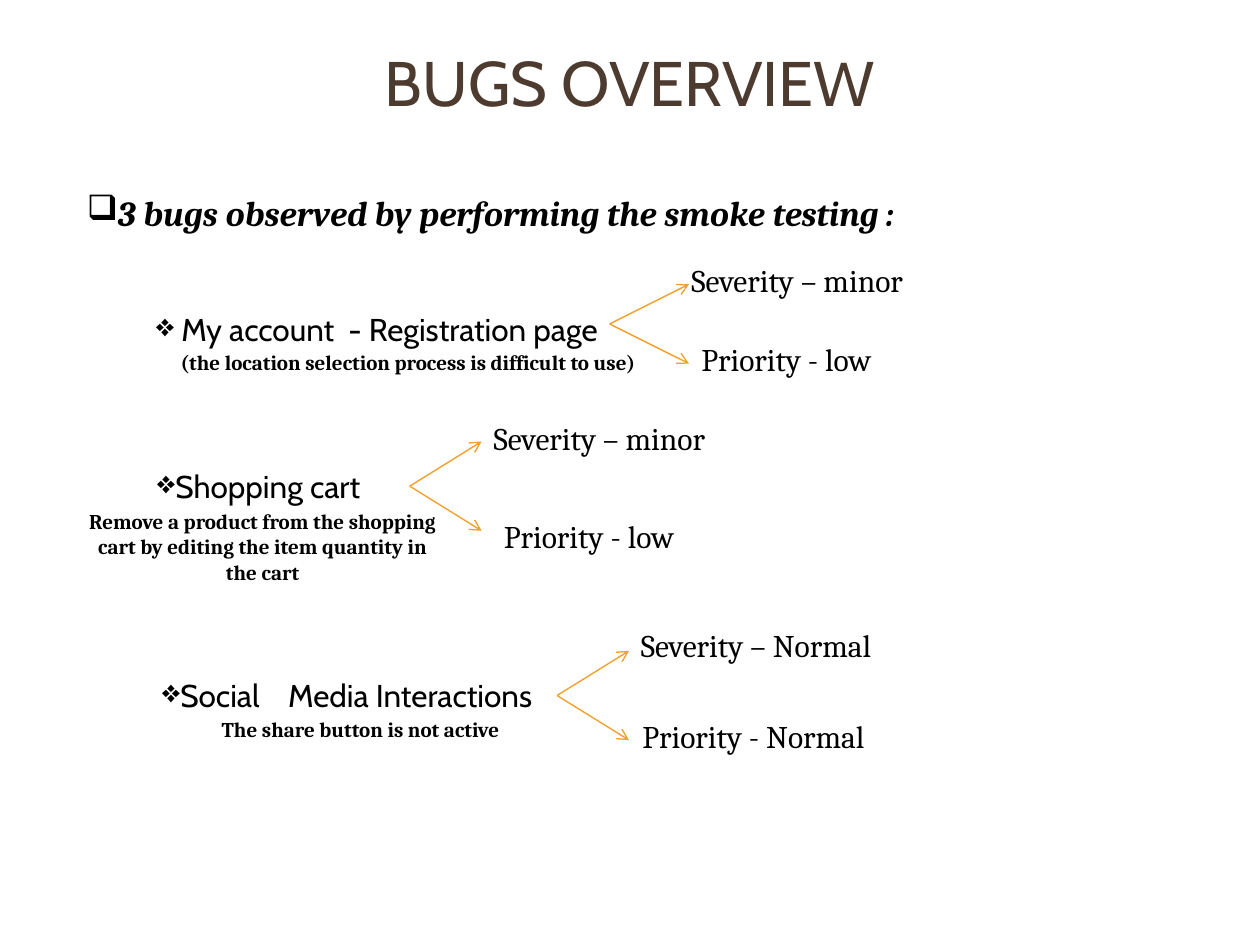
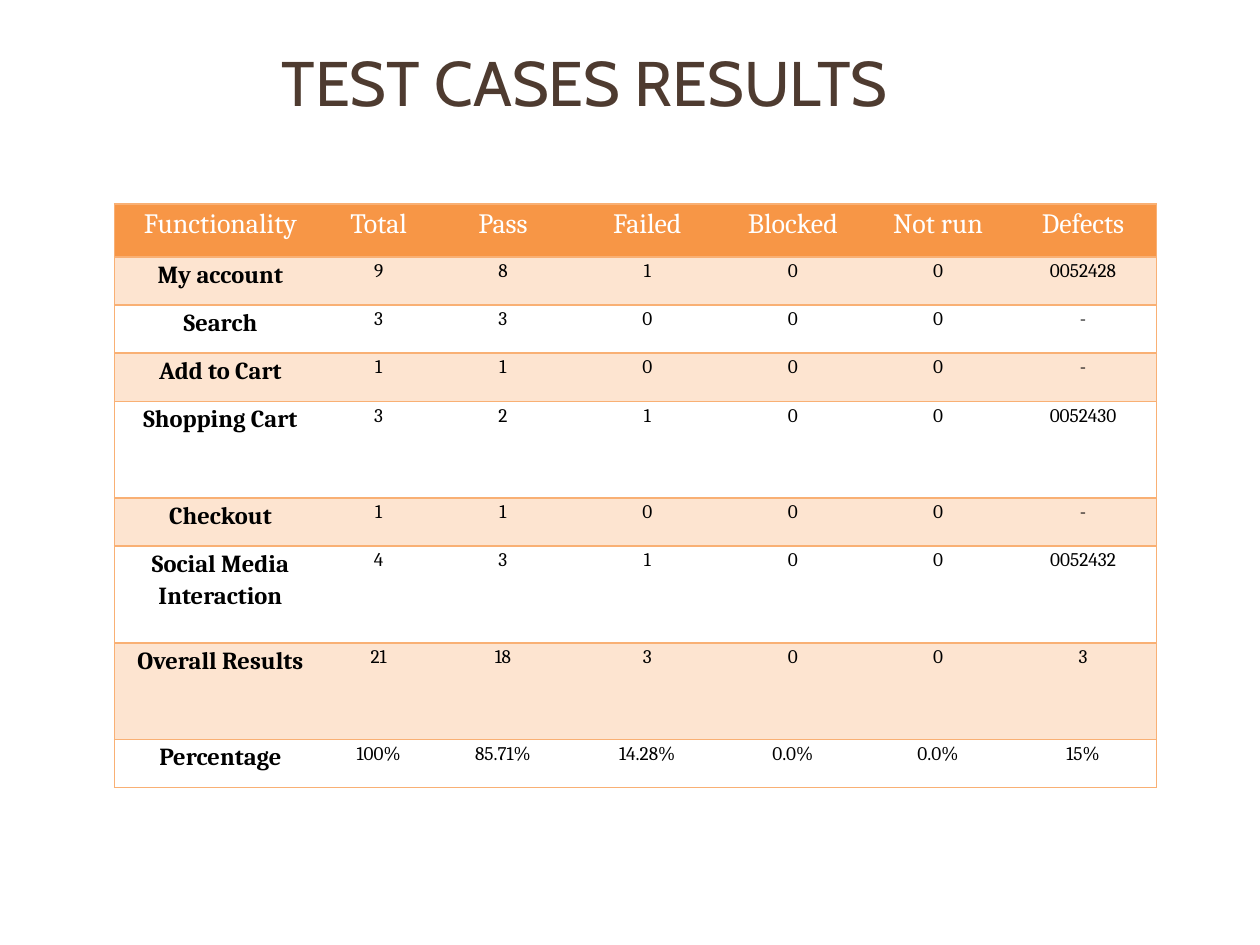
from lxml import etree
from pptx import Presentation
from pptx import util as u
from pptx.dml.color import RGBColor
from pptx.enum import shapes, text
from pptx.oxml.ns import qn

BROWN = RGBColor(0x4E, 0x3B, 0x30)
BLACK = RGBColor(0, 0, 0)
WHITE = RGBColor(0xFF, 0xFF, 0xFF)
AMBER = RGBColor(0xF0, 0xA2, 0x2E)
ORANGE = RGBColor(0xF7, 0x96, 0x46)
PEACH = RGBColor(0xFD, 0xE4, 0xD0)
RULE = RGBColor(0xF9, 0xB0, 0x74)

SANS, SERIF = "Cabin", "Cambria"
CENTER = text.PP_ALIGN.CENTER
PLAIN_TABLE = "{2D5ABB26-0587-4C30-8999-92F81FD0307C}"

# Each bug: label, note, fork, severity, priority.
# Text entries are (words, left, top, width); a fork is (left, middle, reach, rise).
BUGS = [
    ((" My account  - Registration page", 2.9, 6.12, 10.11),
     (" (the location selection process is difficult to use)", 3.3, 6.93, 10.06),
     (12.29, 6.53, 1.6, 0.8),
     ("Severity – minor", 13.69, 5.13, 5.18),
     ("Priority - low", 13.89, 6.73, 4.17)),
    (("Shopping cart", 2.92, 9.3, 5.33),
     ("Remove a product from the shopping cart by editing the item quantity in the cart",
      1.5, 10.13, 7.59),
     (8.26, 9.8, 1.45, 0.9),
     ("Severity – minor", 9.7, 8.33, 5.18),
     ("Priority - low", 9.91, 10.29, 4.17)),
    (("Social \tMedia Interactions", 3.02, 13.51, 8.13),
     ("The share button is not active", 4.22, 14.33, 6.27),
     (11.23, 14.02, 1.45, 0.9),
     ("Severity – Normal", 12.67, 12.5, 5.41),
     ("Priority - Normal", 12.7, 14.33, 5.21)),
]

RESULTS = [
    ("Functionality", "Total", "Pass", "Failed", "Blocked", "Not run", "Defects"),
    ("My account", "9", "8", "1", "0", "0", "0052428"),
    ("Search", "3", "3", "0", "0", "0", "-"),
    ("Add to Cart", "1", "1", "0", "0", "0", "-"),
    ("Shopping Cart", "3", "2", "1", "0", "0", "0052430"),
    ("Checkout", "1", "1", "0", "0", "0", "-"),
    ("Social Media Interaction", "4", "3", "1", "0", "0", "0052432"),
    ("Overall Results", "21", "18", "3", "0", "0", "3"),
    ("Percentage", "100%", "85.71%", "14.28%", "0.0%", "0.0%", "15%"),
]
COLUMN_WIDTHS = (4.27, 2.11, 2.9, 2.92, 2.95, 2.9, 2.95)
ROW_HEIGHTS = (1.07, 0.97, 0.97, 0.97, 1.95, 0.97, 1.95, 1.95, 0.97)


class Deck:
    """Holds the presentation, its style and the slide being filled."""

    def __init__(self):
        self.prs = Presentation()
        self.prs.slide_width, self.prs.slide_height = u.Cm(25.4), u.Cm(19.05)
        self.s = None

    def slide(self, title, width, height):
        self.s = self.prs.slides.add_slide(self.prs.slide_layouts[6])
        self.text(title, 1.27, 0.76, width, height, size=36, font=SANS,
                  color=BROWN, wrap=True, align=CENTER, grow=False)

    def style(self, p, size, font=SERIF, color=BLACK, bold=False, italic=False):
        for r in p.runs:
            f = r.font
            f.size, f.name, f.bold, f.italic = u.Pt(size), font, bold, italic
            f.color.rgb = color

    def text(self, words, left, top, width, height=1.02, size=18, bullet=None,
             wrap=False, align=None, grow=True, **look):
        sp = self.s.shapes.add_textbox(*map(u.Cm, (left, top, width, height)))
        tf = sp.text_frame
        tf.word_wrap = wrap
        if grow:
            tf.auto_size = text.MSO_AUTO_SIZE.SHAPE_TO_FIT_TEXT
        p = tf.paragraphs[0]
        p.text, p.alignment = words, align
        if bullet:
            pPr = p._p.get_or_add_pPr()
            pPr.set("marL", "0")
            pPr.set("indent", "0")
            etree.SubElement(pPr, qn("a:buChar")).set("char", bullet)
        self.style(p, size, **look)

    def arrow(self, x1, y1, x2, y2):
        c = self.s.shapes.add_connector(shapes.MSO_CONNECTOR.STRAIGHT,
                                        *map(u.Cm, (x1, y1, x2, y2)))
        c.line.color.rgb, c.line.width = AMBER, u.Pt(0.79)
        spPr = c._element.spPr
        etree.SubElement(spPr.find(qn("a:ln")), qn("a:tailEnd")).set("type", "arrow")
        etree.SubElement(spPr, qn("a:effectLst"))

    def fork(self, left, middle, reach, rise):
        """Two arrows that part from one point, one upwards and one downwards."""
        for dy in (-rise, rise):
            self.arrow(left, middle, left + reach, middle + dy)

    def border(self, cell, sides):
        tcPr = cell._tc.get_or_add_tcPr()
        for side in sides:
            ln = etree.SubElement(tcPr, qn("a:ln" + side), w=str(u.Pt(1)))
            fill = etree.SubElement(ln, qn("a:solidFill"))
            etree.SubElement(fill, qn("a:srgbClr"), val=str(RULE))

    def cell(self, cell, words, sides, fill, **look):
        cell.margin_left = cell.margin_right = u.Cm(0.18)
        cell.margin_top = cell.margin_bottom = 0
        self.border(cell, sides)
        if fill is None:
            cell.fill.background()
        else:
            cell.fill.solid()
            cell.fill.fore_color.rgb = fill
        p = cell.text_frame.paragraphs[0]
        p.text, p.alignment, p.line_spacing = words, CENTER, 1.15
        self.style(p, **look)

    def table(self, rows, left, top, widths, heights):
        """Table with a header row, banded rows and a bold first column."""
        frame = self.s.shapes.add_table(
            len(rows), len(widths),
            *map(u.Cm, (left, top, sum(widths), sum(heights))))
        tbl = frame.table
        frame._element.find(".//" + qn("a:tableStyleId")).text = PLAIN_TABLE
        for col, width in zip(tbl.columns, widths):
            col.width = u.Cm(width)
        last = len(widths) - 1
        for i, (row, height) in enumerate(zip(rows, heights)):
            tbl.rows[i].height = u.Cm(height)
            for j, words in enumerate(row):
                sides = "L" * (j == 0) + "R" * (j == last) + "TB"
                if i == 0:
                    fill, look = ORANGE, dict(size=16, color=WHITE)
                else:
                    fill = PEACH if i % 2 else None
                    look = dict(size=14, bold=True) if j == 0 else dict(size=11)
                self.cell(tbl.cell(i, j), words, sides, fill, **look)


def bugs_overview(deck):
    deck.slide("BUGS OVERVIEW", 22.86, 3.18)
    deck.text("3 bugs observed by performing the smoke testing :",
              1.5, 3.73, 17.73, 1.12, size=20, bullet="❑", bold=True, italic=True)
    for label, note, fork, severity, priority in BUGS:
        deck.text(*label, bullet="❖", font=SANS)
        deck.fork(*fork)
        deck.text(*severity)
        deck.text(*priority)
        is_long = len(note[0]) > 60
        deck.text(*note, height=1.8 if is_long else 0.76, size=12, bold=True,
                  wrap=is_long, align=CENTER if is_long else None)


def test_results(deck):
    deck.slide(" TEST CASES RESULTS", 20.75, 2.62)
    deck.table(RESULTS, 2.31, 4.11, COLUMN_WIDTHS, ROW_HEIGHTS)


def main():
    deck = Deck()
    bugs_overview(deck)
    test_results(deck)
    deck.prs.save("out.pptx")


if __name__ == "__main__":
    main()
